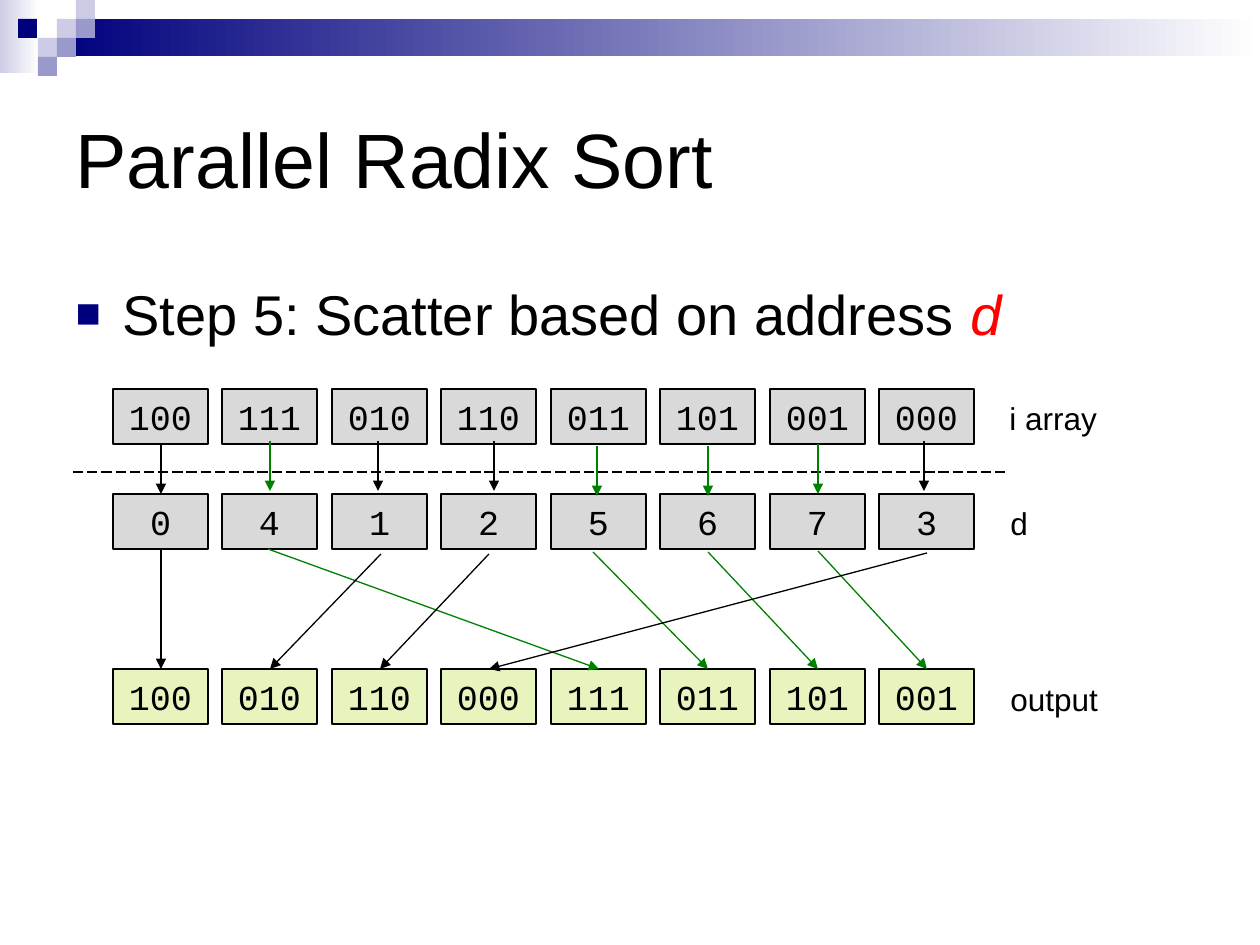
from lxml import etree
from pptx import Presentation
from pptx.dml.color import RGBColor
from pptx.enum.dml import MSO_LINE
from pptx.enum.shapes import MSO_CONNECTOR, MSO_SHAPE
from pptx.enum.text import MSO_ANCHOR, MSO_AUTO_SIZE, PP_ALIGN
from pptx.oxml.ns import qn
from pptx.util import Pt

EMU_PER_PX = 914400 / 126

BLACK = RGBColor(0x00, 0x00, 0x00)
WHITE = RGBColor(0xFF, 0xFF, 0xFF)
NAVY = RGBColor(0x00, 0x00, 0x7D)
LAVENDER = RGBColor(0xCC, 0xCC, 0xE6)
PERIWINKLE = RGBColor(0x99, 0x99, 0xCC)
RED = RGBColor(0xFF, 0x00, 0x00)
GREEN = RGBColor(0x00, 0x80, 0x00)
GRAY = RGBColor(0xD9, 0xD9, 0xD9)
LIME = RGBColor(0xE7, 0xF4, 0xBE)


def px(length):
    return round(length * EMU_PER_PX)


class SlideBuilder:
    sans = "Arial"
    mono = "Courier New"
    line_width = Pt(0.75)

    def __init__(self, slide):
        self.slide = slide

    def add_run(self, paragraph, text, size, font=sans, color=BLACK, italic=None):
        run = paragraph.add_run()
        run.text = text
        run.font.size = Pt(size)
        run.font.name = font
        run.font.color.rgb = color
        run.font.italic = italic

    def placeholder(self, index, box, anchor):
        shape = self.slide.placeholders[index]
        shape.left, shape.top, shape.width, shape.height = map(px, box)
        frame = shape.text_frame
        frame.auto_size = MSO_AUTO_SIZE.NONE
        frame.vertical_anchor = anchor
        paragraph = frame.paragraphs[0]
        paragraph.alignment = PP_ALIGN.LEFT
        return paragraph

    def bullet(self, paragraph, character, color, percent, indent):
        properties = paragraph._p.get_or_add_pPr()
        properties.set("marL", str(px(indent)))
        properties.set("indent", str(-px(indent)))
        bullet_color = etree.SubElement(properties, qn("a:buClr"))
        etree.SubElement(bullet_color, qn("a:srgbClr"), val=str(color))
        etree.SubElement(properties, qn("a:buSzPct"), val=str(percent * 1000))
        etree.SubElement(properties, qn("a:buFont"), typeface=self.sans)
        etree.SubElement(properties, qn("a:buChar"), char=character)

    def rectangle(self, left, top, width, height, color, fade_to=None):
        shape = self.slide.shapes.add_shape(
            MSO_SHAPE.RECTANGLE, px(left), px(top), px(width), px(height))
        shape.shadow.inherit = False
        shape.line.fill.background()
        if fade_to is None:
            shape.fill.solid()
            shape.fill.fore_color.rgb = color
        else:
            shape.fill.gradient()
            shape.fill.gradient_angle = 0
            for stop, stop_color in zip(shape.fill.gradient_stops, (color, fade_to)):
                stop.color.rgb = stop_color
        return shape

    def cell(self, left, top, text, color):
        shape = self.rectangle(left, top, CELL_WIDTH, CELL_HEIGHT, color)
        shape.line.color.rgb = BLACK
        shape.line.width = self.line_width
        frame = shape.text_frame
        frame.vertical_anchor = MSO_ANCHOR.MIDDLE
        paragraph = frame.paragraphs[0]
        paragraph.alignment = PP_ALIGN.CENTER
        self.add_run(paragraph, text, 20, self.mono)

    def label(self, left, top, width, text):
        shape = self.slide.shapes.add_textbox(px(left), px(top), px(width), px(50))
        frame = shape.text_frame
        frame.word_wrap = False
        frame.auto_size = MSO_AUTO_SIZE.SHAPE_TO_FIT_TEXT
        self.add_run(frame.paragraphs[0], text, 18)

    def line(self, start, end, color=BLACK, dash=None, arrow=False):
        connector = self.slide.shapes.add_connector(
            MSO_CONNECTOR.STRAIGHT, *map(px, start + end))
        connector.line.color.rgb = color
        connector.line.width = self.line_width
        if dash is not None:
            connector.line.dash_style = dash
        if arrow:
            outline = connector.line._get_or_add_ln()
            etree.SubElement(outline, qn("a:tailEnd"), type="triangle")
        etree.SubElement(connector._element.spPr, qn("a:effectLst"))


# Array layout
CELL_WIDTH, CELL_HEIGHT = 95, 55
INPUT_TOP, ADDRESS_TOP, OUTPUT_TOP = 389, 494, 669
DROP_LENGTH = 50
LEFTS = [113 + round(i * 766 / 7) for i in range(8)]

# Key, address, start of the short arrow, start of the scatter arrow
LANES = [
    ("100", 0, (161, 444), (161, 548)),
    ("111", 4, (270, 441), (268, 549)),
    ("010", 1, (378, 441), (381, 554)),
    ("110", 2, (494, 441), (489, 554)),
    ("011", 5, (597, 446), (593, 552)),
    ("101", 6, (708, 446), (708, 552)),
    ("001", 7, (818, 444), (818, 551)),
    ("000", 3, (924, 441), (927, 553)),
]


def main():
    presentation = Presentation()
    presentation.slide_width = px(1260)
    presentation.slide_height = px(945)
    slide = presentation.slides.add_slide(presentation.slide_layouts[1])
    builder = SlideBuilder(slide)

    # Header band and squares
    builder.rectangle(0, 0, 39, 73, LAVENDER, fade_to=WHITE)
    builder.rectangle(57, 19, 1203, 37, NAVY, fade_to=WHITE)
    for left, top, color in [
        (57, 19, LAVENDER), (76, 0, LAVENDER), (76, 19, PERIWINKLE),
        (38, 38, LAVENDER), (18, 19, NAVY), (57, 38, PERIWINKLE),
        (38, 57, PERIWINKLE),
    ]:
        builder.rectangle(left, top, 19, 19, color)

    # Title and step
    title = builder.placeholder(0, (63, 63, 1134, 189), MSO_ANCHOR.MIDDLE)
    builder.add_run(title, "Parallel Radix Sort", 44)
    step = builder.placeholder(1, (63, 273, 1134, 84), MSO_ANCHOR.TOP)
    step.space_before = Pt(8)
    builder.bullet(step, "■", NAVY, 75, 47)
    builder.add_run(step, "Step 5: Scatter based on address ", 32)
    builder.add_run(step, "d", 32, color=RED, italic=True)

    # Divider between the keys and their addresses
    builder.line((73, 472), (1008, 472), dash=MSO_LINE.LONG_DASH)

    # Cells: each key lands in the output at its address
    for left, (key, address, _, _) in zip(LEFTS, LANES):
        builder.cell(left, INPUT_TOP, key, GRAY)
        builder.cell(left, ADDRESS_TOP, str(address), GRAY)
        builder.cell(LEFTS[address], OUTPUT_TOP, key, LIME)

    # Row labels
    builder.label(997, 393, 114, "i array")
    builder.label(998, 498, 43, "d")
    builder.label(998, 674, 114, "output")

    # Arrows: green for keys whose lowest bit is 1
    for key, address, drop, scatter in LANES:
        color = GREEN if key.endswith("1") else BLACK
        target = (LEFTS[address] + CELL_WIDTH // 2 + 1, OUTPUT_TOP)
        builder.line(drop, (drop[0], drop[1] + DROP_LENGTH), color, arrow=True)
        builder.line(scatter, target, color, arrow=True)

    presentation.save("out.pptx")


if __name__ == "__main__":
    main()
